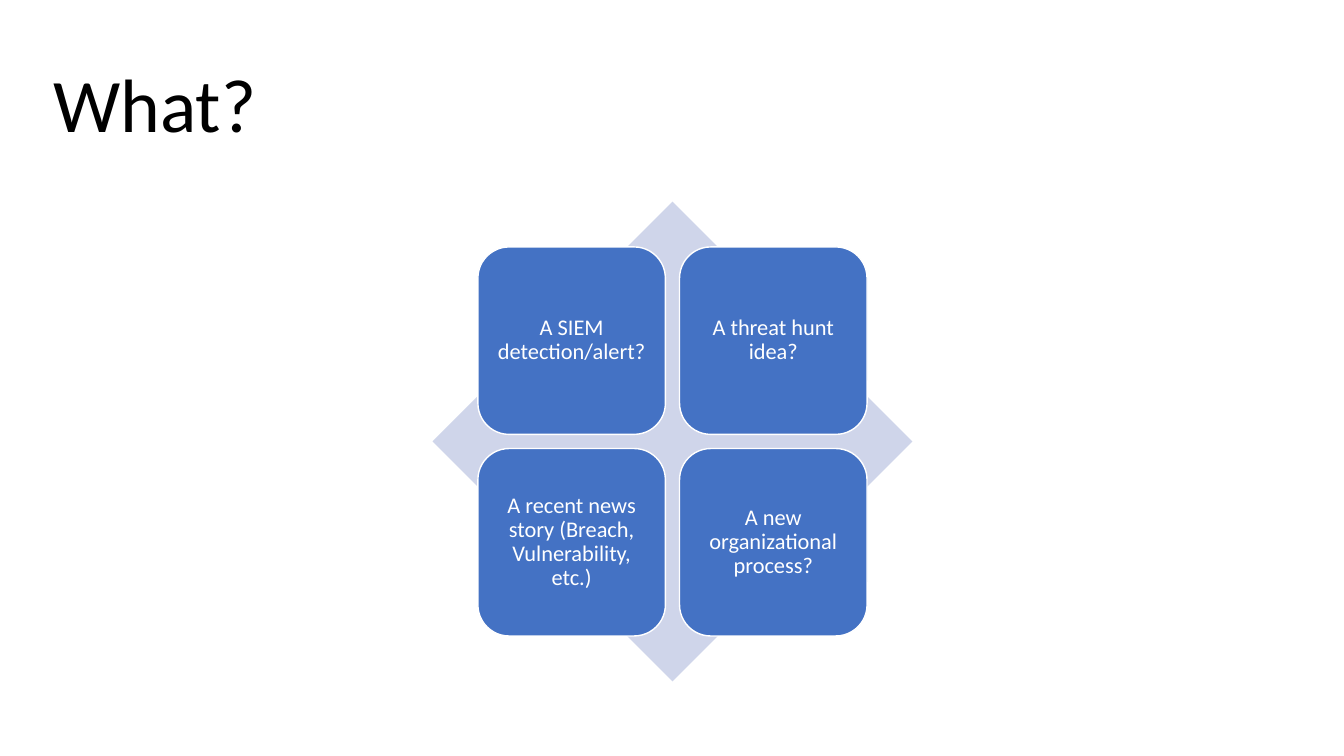
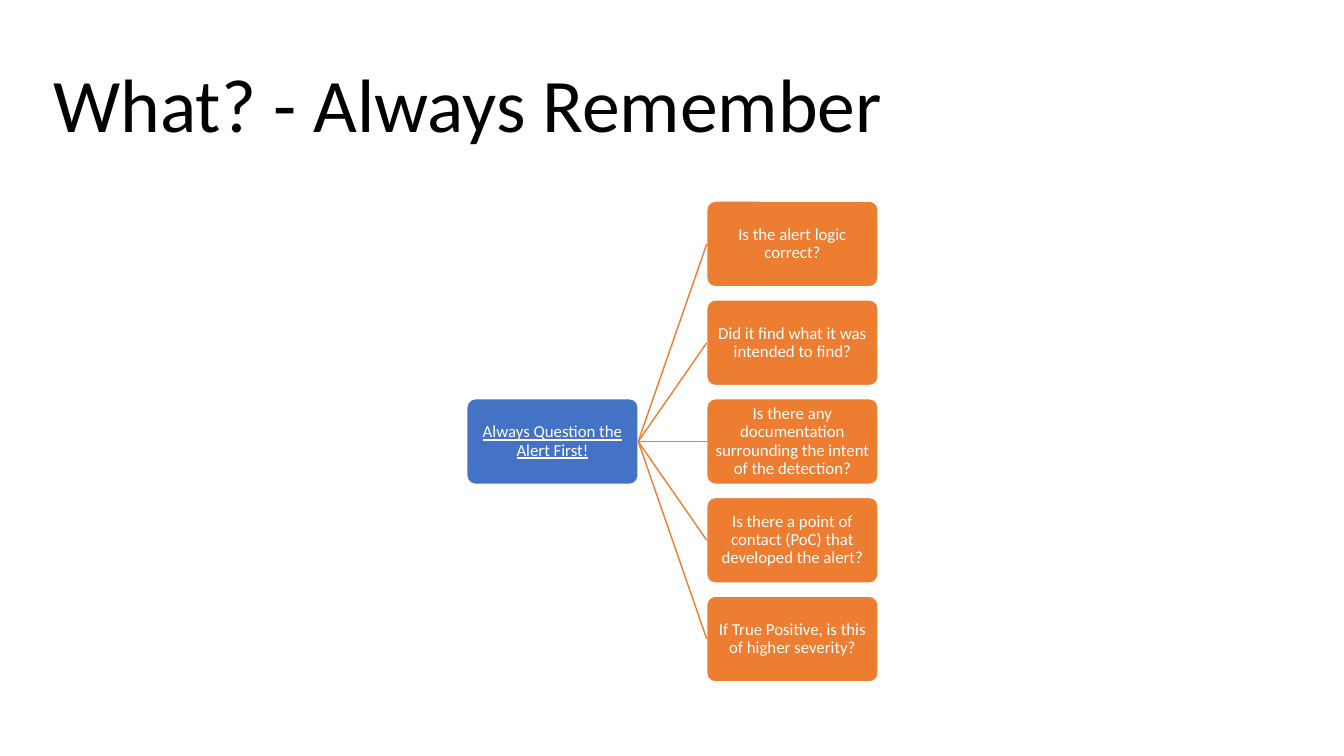
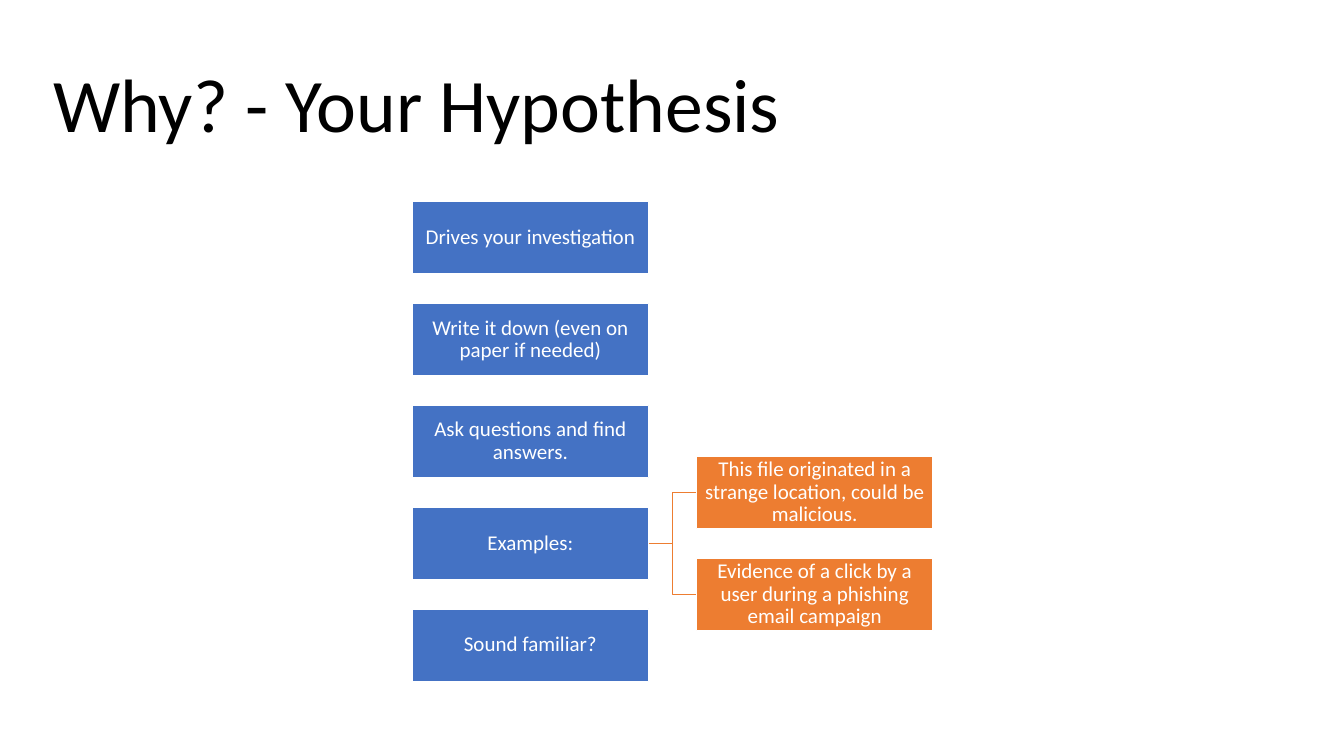
from pptx import Presentation
from pptx.dml.color import RGBColor
from pptx.enum.shapes import MSO_CONNECTOR, MSO_SHAPE
from pptx.enum.text import MSO_ANCHOR, MSO_AUTO_SIZE, PP_ALIGN
from pptx.oxml.ns import qn
from pptx.util import Emu, Pt
from lxml.etree import SubElement

FONT = "Calibri"
COLORS = {
    "black": "000000",
    "white": "FFFFFF",
    "blue": "4472C4",
    "orange": "ED7D31",
    "pale": "CFD5EA",
}

# Content
SOURCES = {
    "title": "What?",
    "tiles": [
        "A SIEM detection/alert?",
        "A threat hunt idea?",
        "A recent news story (Breach, Vulnerability, etc.)",
        "A new organizational process?",
    ],
}
REMEMBER = {
    "title": "What? - Always Remember",
    "root": "Always Question the Alert First!",
    "questions": [
        "Is the alert logic correct?",
        "Did it find what it was intended to find?",
        "Is there any documentation surrounding the intent of the detection?",
        "Is there a point of contact (PoC) that developed the alert?",
        "If True Positive, is this of higher severity?",
    ],
}
HYPOTHESIS = {
    "title": "Why? - Your Hypothesis",
    "steps": [
        "Drives your investigation",
        "Write it down (even on paper if needed)",
        "Ask questions and find answers.",
        "Examples:",
        "Sound familiar?",
    ],
    "parent": 3,
    "examples": [
        "This file originated in a strange location, could be malicious.",
        "Evidence of a click by a user during a phishing email campaign",
    ],
}

# Geometry in px, 100 to the inch
SLIDE = (1333, 750)
TITLE_BOX = (43, 35, 1248, 145)
MID_X, MID_Y = 667, 438
DIAMOND = 476
TILE_PITCH = 200

TILE = {"kind": MSO_SHAPE.ROUNDED_RECTANGLE, "w": 186, "h": 186, "size": 16, "inset": 7}
NODE = {"kind": MSO_SHAPE.ROUNDED_RECTANGLE, "w": 170, "h": 85, "size": 12, "inset": 1,
        "round": 0.1, "pitch": 98}
STEP = {"kind": MSO_SHAPE.RECTANGLE, "w": 235, "h": 72, "size": 15, "inset": 1, "pitch": 101}


def px(n):
    return Emu(round(n * 9144))


def color(name):
    return RGBColor.from_string(COLORS[name])


def format_text(tf, size, name, align):
    tf.word_wrap = True
    tf.auto_size = MSO_AUTO_SIZE.NONE
    tf.vertical_anchor = MSO_ANCHOR.MIDDLE
    p = tf.paragraphs[0]
    p.alignment = align
    p.line_spacing = 0.9
    font = p.runs[0].font
    font.name, font.size = FONT, Pt(size)
    font.color.rgb = color(name)


def add_slide(prs, title):
    s = prs.slides.add_slide(prs.slide_layouts[5])
    s.shapes.title.text_frame.text = title
    format_text(s.shapes.title.text_frame, 54, "black", PP_ALIGN.LEFT)
    return s


def add_filled(s, kind, x, y, w, h, fill):
    """Add a shape centred on x, y."""
    sp = s.shapes.add_shape(kind, px(x - w / 2), px(y - h / 2), px(w), px(h))
    sp.shadow.inherit = False
    sp.fill.solid()
    sp.fill.fore_color.rgb = color(fill)
    sp.line.fill.background()
    return sp


def add_box(s, text, x, y, style, fill):
    sp = add_filled(s, style["kind"], x, y, style["w"], style["h"], fill)
    if "round" in style:
        sp.adjustments[0] = style["round"]
    sp.line.color.rgb = color("white")
    sp.line.width = Pt(1)
    tf = sp.text_frame
    tf.text = text
    tf.margin_left = tf.margin_right = tf.margin_top = tf.margin_bottom = px(style["inset"])
    format_text(tf, style["size"], "white", PP_ALIGN.CENTER)
    return sp


def add_column(s, texts, x, y, style, fill):
    """Stack boxes at an equal pitch around the centre x, y."""
    top = y - style["pitch"] * (len(texts) - 1) / 2
    return [add_box(s, text, x, top + i * style["pitch"], style, fill)
            for i, text in enumerate(texts)]


def link(s, parent, children, kind):
    for child in children:
        line = s.shapes.add_connector(kind, 0, 0, 0, 0)
        line.begin_connect(parent, 3)
        line.end_connect(child, 1)
        line.line.color.rgb = color("orange")
        line.line.width = Pt(1)
        SubElement(line.element.spPr, qn("a:effectLst"))


def sources_slide(prs):
    s = add_slide(prs, SOURCES["title"])
    add_filled(s, MSO_SHAPE.DIAMOND, MID_X, MID_Y, DIAMOND, DIAMOND, "pale")
    for i, text in enumerate(SOURCES["tiles"]):
        row, col = divmod(i, 2)
        add_box(s, text, MID_X + (col - 0.5) * TILE_PITCH,
                MID_Y + (row - 0.5) * TILE_PITCH, TILE, "blue")


def remember_slide(prs):
    s = add_slide(prs, REMEMBER["title"])
    offset = 119
    root = add_box(s, REMEMBER["root"], MID_X - offset, MID_Y, NODE, "blue")
    root.text_frame.paragraphs[0].runs[0].font.underline = True
    questions = add_column(s, REMEMBER["questions"], MID_X + offset, MID_Y, NODE, "orange")
    link(s, root, questions, MSO_CONNECTOR.STRAIGHT)


def hypothesis_slide(prs):
    s = add_slide(prs, HYPOTHESIS["title"])
    offset = 141
    steps = add_column(s, HYPOTHESIS["steps"], MID_X - offset, MID_Y, STEP, "blue")
    parent = HYPOTHESIS["parent"]
    parent_y = MID_Y + (parent - (len(steps) - 1) / 2) * STEP["pitch"]
    examples = add_column(s, HYPOTHESIS["examples"], MID_X + offset, parent_y, STEP, "orange")
    link(s, steps[parent], examples, MSO_CONNECTOR.ELBOW)


def main():
    prs = Presentation()
    prs.slide_width, prs.slide_height = map(px, SLIDE)
    title = prs.slide_layouts[5].placeholders[0]
    title.left, title.top, title.width, title.height = map(px, TITLE_BOX)
    for build in (sources_slide, remember_slide, hypothesis_slide):
        build(prs)
    prs.save("out.pptx")


if __name__ == "__main__":
    main()
